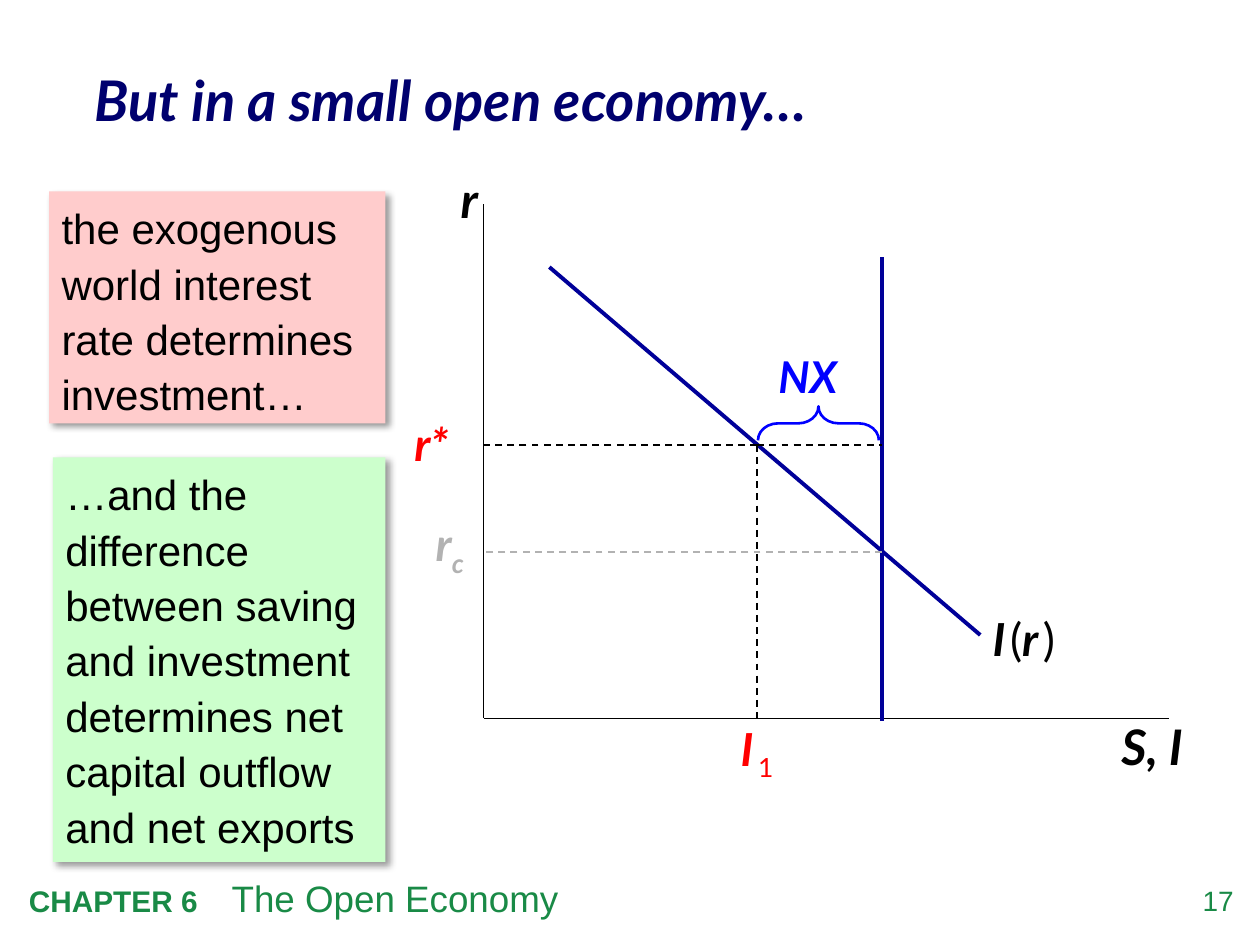
from lxml import etree
from pptx import Presentation
from pptx.dml.color import RGBColor
from pptx.enum.dml import MSO_LINE
from pptx.enum.shapes import MSO_CONNECTOR, MSO_SHAPE
from pptx.enum.text import MSO_ANCHOR, PP_ALIGN
from pptx.oxml.ns import qn
from pptx.util import Inches, Pt

DASH, STRAIGHT = MSO_LINE.DASH, MSO_CONNECTOR.STRAIGHT
RECT, BRACE = MSO_SHAPE.RECTANGLE, MSO_SHAPE.LEFT_BRACE
TOP, MIDDLE = MSO_ANCHOR.TOP, MSO_ANCHOR.MIDDLE
LEFT, CENTER, RIGHT = PP_ALIGN.LEFT, PP_ALIGN.CENTER, PP_ALIGN.RIGHT

THEME = {
    "head": "Lato", "body": "Arial",
    "navy": "00006E", "curve": "000099", "blue": "0000FF", "red": "FF0000",
    "grey": "B2B2B2", "black": "000000", "green": "198A46",
    "pink": "FFCCCC", "mint": "CCFFCC",
    "title": 32, "axis": 28, "label": 26, "gap": 12, "brace": 25,
    "note": 24, "topic": 21, "chapter": 17, "number": 16,
}

deck = Presentation()
deck.slide_width, deck.slide_height = Inches(10), Inches(7.5)
slide = deck.slides.add_slide(deck.slide_layouts[5])
shapes = slide.shapes

# The slide is a grid of 100 columns by 75 rows
COL, ROW = deck.slide_width / 100, deck.slide_height / 75


def write(shape, runs, color, font="head", align=LEFT, anchor=TOP,
          inset=(0.1, 0.05, 0.1, 0.05), space=1.0):
    """Fill a shape with runs of (text, size, style); style: b, i, _ (subscript)."""
    frame = shape.text_frame
    frame.word_wrap = True
    frame.vertical_anchor = anchor
    (frame.margin_left, frame.margin_top,
     frame.margin_right, frame.margin_bottom) = map(Inches, inset)
    para = frame.paragraphs[0]
    para.alignment, para.line_spacing, para.space_before = align, space, Pt(0)
    for text, size, style in runs:
        run = para.add_run()
        run.text = text
        run.font.name, run.font.size = THEME[font], Pt(THEME[size])
        run.font.bold, run.font.italic = "b" in style, "i" in style
        run.font.color.rgb = RGBColor.from_string(THEME[color])
        if "_" in style:
            run.font._element.set("baseline", "-25000")
    return para


def place(left, top, width, height):
    """Turn grid columns and rows into slide lengths."""
    return [round(n) for n in (left * COL, top * ROW, width * COL, height * ROW)]


# Title
title = shapes.title
title.left, title.top, title.width, title.height = place(7.5, 2.6, 87.7, 10.3)
write(title, [("But in a small open economy…", "title", "bi")], "navy",
      anchor=MIDDLE, inset=(0, 0, 0, 0), space=1.05)

# Footer
foot = shapes.add_textbox(*place(1.3, 69, 81.8, 4.5))
para = write(foot, [("CHAPTER 6\t", "chapter", "b"),
                    ("The Open Economy", "topic", "")], "green", "body")
tabs = etree.SubElement(para._p.get_or_add_pPr(), qn("a:tabLst"))
etree.SubElement(tabs, qn("a:tab"), pos=str(round(16.1 * COL)), algn="l")
page = shapes.add_textbox(*place(92.4, 70.1, 5.5, 3.2))
write(page, [("17", "number", "")], "green", "body", RIGHT, inset=(0, 0, 0, 0))

# Axes, curves and dashed guides: start, end, colour, weight, dash
AXIS, BASE, SAVE, WORLD, CLOSED, INVEST = 38.4, 57, 70, 35.3, 43.8, 60.1
for x1, y1, x2, y2, color, weight, dash in [
    (AXIS, 16.2, AXIS, BASE, "black", 0.75, None),
    (AXIS, BASE, 92.8, BASE, "black", 0.75, None),
    (43.6, 21.2, 77.8, 50.4, "curve", 2.25, None),
    (SAVE, 57.2, SAVE, 20.4, "curve", 2.25, None),
    (SAVE, CLOSED, AXIS, CLOSED, "grey", 1, DASH),
    (INVEST, WORLD, AXIS, WORLD, "black", 1, DASH),
    (INVEST, WORLD, INVEST, BASE, "black", 1, DASH),
    (INVEST, WORLD, SAVE, WORLD, "black", 1, DASH),
]:
    line = shapes.add_connector(STRAIGHT, *place(x1, y1, x2, y2))
    line.line.color.rgb = RGBColor.from_string(THEME[color])
    line.line.width = Pt(weight)
    if dash:
        line.line.dash_style = dash
    etree.SubElement(line._element.spPr, qn("a:effectLst"))

# Axis names
for text, spot in [("r", (34.4, 13, 4.7, 5.7)), ("S, I", (86.1, 56.4, 9.7, 5.7))]:
    write(shapes.add_textbox(*place(*spot)), [(text, "axis", "bi")], "black",
          align=CENTER, inset=(0.1, 0.05, 0, 0.05))

# Curve and guide labels
space = (" ", "gap", "bi")
for runs, color, spot in [
    ([("I", "label", "bi"), space, ("(", "label", ""), ("r", "label", "bi"),
      space, (")", "label", "")], "black", (77.8, 48, 8.3, 5.3)),
    ([("r", "label", "bi"), ("c", "label", "bi_")], "grey", (33.6, 40.5, 5.1, 5.3)),
    ([("r*", "label", "bi")], "red", (31.9, 32.5, 6.7, 5.3)),
    ([("I", "label", "bi"), space, ("1", "label", "_")], "red",
     (57.8, 56.7, 5.8, 5.3)),
    ([("NX", "brace", "bi")], "blue", (60.8, 27.3, 8.3, 5.2)),
]:
    write(shapes.add_textbox(*place(*spot)), runs, color)

# Net exports brace
brace = shapes.add_shape(BRACE, *place(63.6, 28.8, 2.7, 9.6))
brace.rotation = 90
brace.adjustments[0], brace.adjustments[1] = 0.59, 0.5
brace.fill.background()
brace.line.color.rgb = RGBColor.from_string(THEME["blue"])
brace.line.width = Pt(1.5)
brace.shadow.inherit = False

# Notes with a soft shadow
for text, fill, spot in [
    ("the exogenous world interest rate determines investment…",
     "pink", (3.9, 15.2, 26.7, 18.4)),
    ("…and the difference between saving and investment determines net "
     "capital outflow and net exports", "mint", (4.2, 36.3, 26.4, 32.1)),
]:
    note = shapes.add_shape(RECT, *place(*spot))
    note.fill.solid()
    note.fill.fore_color.rgb = RGBColor.from_string(THEME[fill])
    note.line.fill.background()
    note.shadow.inherit = False
    glow = etree.SubElement(
        note._element.spPr.find(qn("a:effectLst")), qn("a:outerShdw"),
        blurRad=str(Pt(4)), dist=str(Pt(3)), dir=str(45 * 60000), algn="tl")
    tint = etree.SubElement(glow, qn("a:srgbClr"), val=THEME["black"])
    etree.SubElement(tint, qn("a:alpha"), val="40000")
    write(note, [(text, "note", "")], "black", "body", space=1.1)

deck.save("out.pptx")
